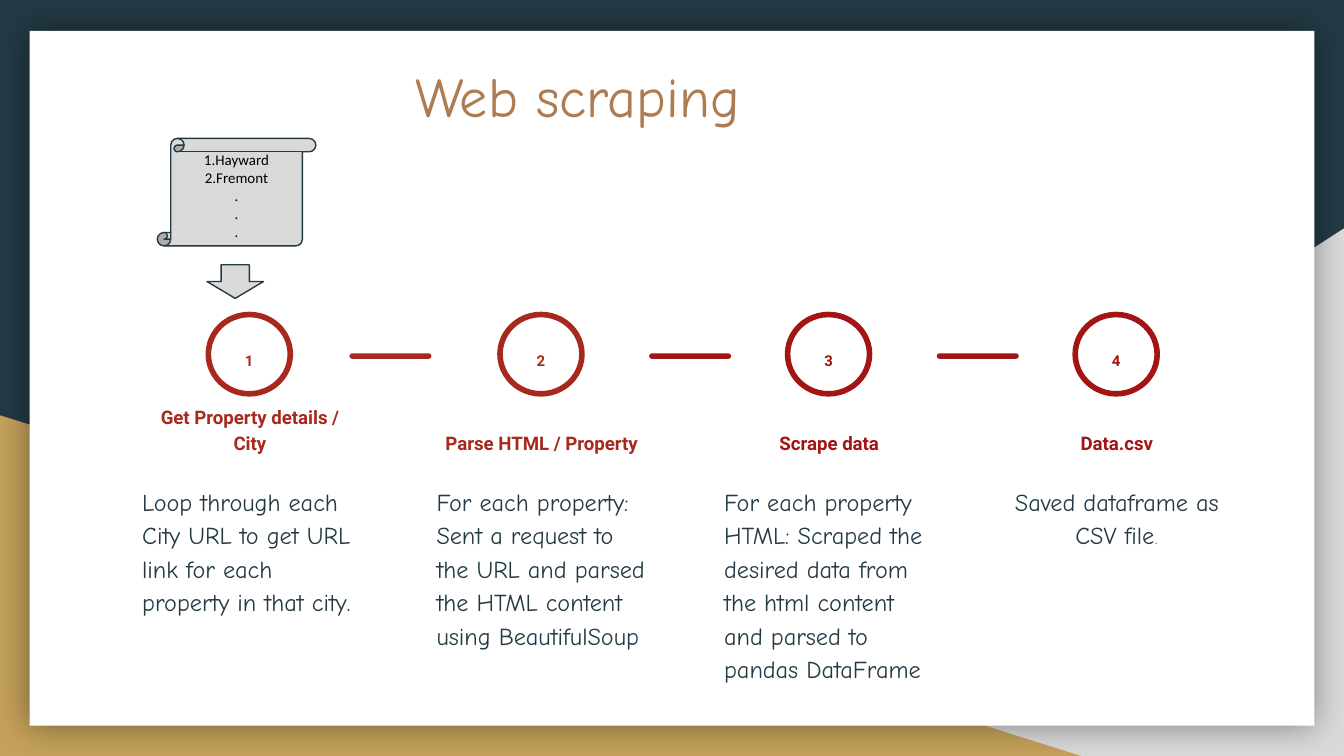
"""Build the Web scraping slide: a four-step process from city list to CSV file."""
import pptx
import pptx.dml.color
import pptx.enum.shapes
import pptx.enum.text
import pptx.oxml
import pptx.oxml.ns
import pptx.util

Inches = pptx.util.Inches
SHAPE = pptx.enum.shapes.MSO_SHAPE
ALIGN = pptx.enum.text.PP_ALIGN
ANCHOR = pptx.enum.text.MSO_ANCHOR

TITLE = "Web scraping"
CITIES = ["1.Hayward", "2.Fremont", ".", ".", "."]
STEPS = [
    {"center": 1.86, "tone": "brick", "width": 1.8, "height": 1.6, "align": ALIGN.LEFT,
     "name": "Get Property details / City",
     "body": [("Loop through each City URL to get URL link for each property in that city.", "body")]},
    {"center": 4.03, "tone": "brick", "width": 1.76, "height": 1.68, "align": ALIGN.LEFT,
     "name": "Parse HTML / Property",
     "body": [("For each property: Sent a request to the URL and parsed the HTML content using BeautifulSoup", "body")]},
    {"center": 6.17, "tone": "red", "width": 1.76, "height": 0.73, "align": ALIGN.LEFT,
     "name": "Scrape data",
     "body": [("For each property HTML: Scraped the desired data from the html content and parsed to pandas DataFrame",
               "body")]},
    {"center": 8.31, "tone": "red", "width": 1.76, "height": 0.73, "align": ALIGN.CENTER,
     "name": "Data.csv",
     "body": [("Saved dataframe as CSV file", "body"), (".", "stop")]},
]
BARS = [(2.6, "brick"), (4.83, "red"), (6.97, "red")]

THEME = {
    "colors": {"navy": "233A44", "grey": "D9D9D9", "gold": "C4A15A", "white": "FFFFFF", "brick": "A7291E",
               "red": "A31515", "brown": "AF7B51", "black": "000000", "stop": "858585"},
    "fonts": {
        "title": {"name": "Comic Neue", "size": 30, "color": "brown"},
        "body": {"name": "Comic Neue", "size": 13, "color": "navy"},
        "stop": {"name": "Roboto", "size": 8, "color": "stop"},
        "number": {"name": "Roboto", "size": 8, "bold": True},
        "heading": {"name": "Roboto", "size": 10, "bold": True},
        "city": {"name": "Calibri", "size": 8, "color": "black"},
    },
}
SHADOW = (
    f'<a:effectLst {pptx.oxml.ns.nsdecls("a")}><a:outerShdw blurRad="228600" dist="0" dir="0" algn="ctr" '
    'rotWithShape="0"><a:srgbClr val="000000"><a:alpha val="40000"/></a:srgbClr></a:outerShdw></a:effectLst>'
)


def color(name):
    return pptx.dml.color.RGBColor.from_string(THEME["colors"][name])


def add_shape(page, kind, place, fill=None, line=None, weight=0.75):
    shape = page.shapes.add_shape(kind, *map(Inches, place))
    shape.shadow.inherit = False
    if fill:
        shape.fill.solid()
        shape.fill.fore_color.rgb = color(fill)
    else:
        shape.fill.background()
    if line:
        shape.line.color.rgb = color(line)
        shape.line.width = pptx.util.Pt(weight)
    else:
        shape.line.fill.background()
    return shape


def write(box, paragraphs, align=ALIGN.CENTER, anchor=ANCHOR.TOP, spacing=1.15, tone=None):
    frame = box.text_frame
    margins = {f"margin_{side}": Inches(0.1) for side in ("left", "top", "right", "bottom")}
    settings = {"word_wrap": True, "auto_size": pptx.enum.text.MSO_AUTO_SIZE.NONE, "vertical_anchor": anchor}
    for key, value in {**margins, **settings}.items():
        setattr(frame, key, value)
    for index, spans in enumerate(paragraphs):
        para = frame.add_paragraph() if index else frame.paragraphs[0]
        para.alignment = align
        para.line_spacing = spacing
        for text, style in spans:
            span = para.add_run()
            span.text = text
            font = {**THEME["fonts"][style]}
            span.font.color.rgb = color(font.pop("color", tone))
            font["size"] = pptx.util.Pt(font["size"])
            for key, value in font.items():
                setattr(span.font, key, value)


def add_text(page, place, spans, **layout):
    write(page.shapes.add_textbox(*map(Inches, place)), [spans], **layout)


def add_backdrop(page):
    page.background.fill.solid()
    page.background.fill.fore_color.rgb = color("navy")
    wedge = add_shape(page, SHAPE.RIGHT_TRIANGLE, (3.92, 1.7, 6.08, 3.93), "grey")
    wedge._element.spPr.xfrm.set("flipH", "1")
    add_shape(page, SHAPE.RIGHT_TRIANGLE, (0, 3.09, 8.06, 2.54), "gold")
    panel = add_shape(page, SHAPE.RECTANGLE, (0.22, 0.23, 9.56, 5.17), "white")
    properties = panel._element.spPr
    properties.replace(properties.find(pptx.oxml.ns.qn("a:effectLst")), pptx.oxml.parse_xml(SHADOW))


def add_step(page, number, step):
    center, tone, width = step["center"], step["tone"], step["width"]
    add_shape(page, SHAPE.OVAL, (center - 0.31, 2.34, 0.61, 0.59), line=tone, weight=3)
    add_text(page, (center - 0.23, 2.5, 0.45, 0.32), [(str(number), "number")], tone=tone)
    add_text(page, (center - 0.88, 3.04, 1.76, 0.44), [(step["name"], "heading")], anchor=ANCHOR.BOTTOM, tone=tone)
    add_text(page, (center - width / 2, 3.49, width, step["height"]), step["body"], align=step["align"])


def main():
    deck = pptx.Presentation()
    deck.slide_width = Inches(10)
    deck.slide_height = deck.slide_width * 9 // 16
    page = deck.slides.add_slide(deck.slide_layouts.get_by_name("Title Only"))
    add_backdrop(page)

    title = page.shapes.title
    for key, value in {"left": 2.99, "top": 0.36, "width": 4.9, "height": 1.04}.items():
        setattr(title, key, Inches(value))
    write(title, [[(TITLE, "title")]], align=ALIGN.LEFT, spacing=1.0)
    page.shapes._spTree.append(title._element)

    scroll = add_shape(page, SHAPE.VERTICAL_SCROLL, (1.17, 1.03, 1.18, 0.8), "grey", "navy")
    write(scroll, [[(city, "city")] for city in CITIES], anchor=ANCHOR.MIDDLE, spacing=1.0)
    add_shape(page, SHAPE.DOWN_ARROW, (1.54, 1.97, 0.42, 0.25), "grey", "navy")

    for left, tone in BARS:
        bar = add_shape(page, SHAPE.ROUNDED_RECTANGLE, (left, 2.63, 0.61, 0.04), tone)
        bar.adjustments[0] = 0.5
    for number, step in enumerate(STEPS, 1):
        add_step(page, number, step)
    deck.save("out.pptx")


if __name__ == "__main__":
    main()
